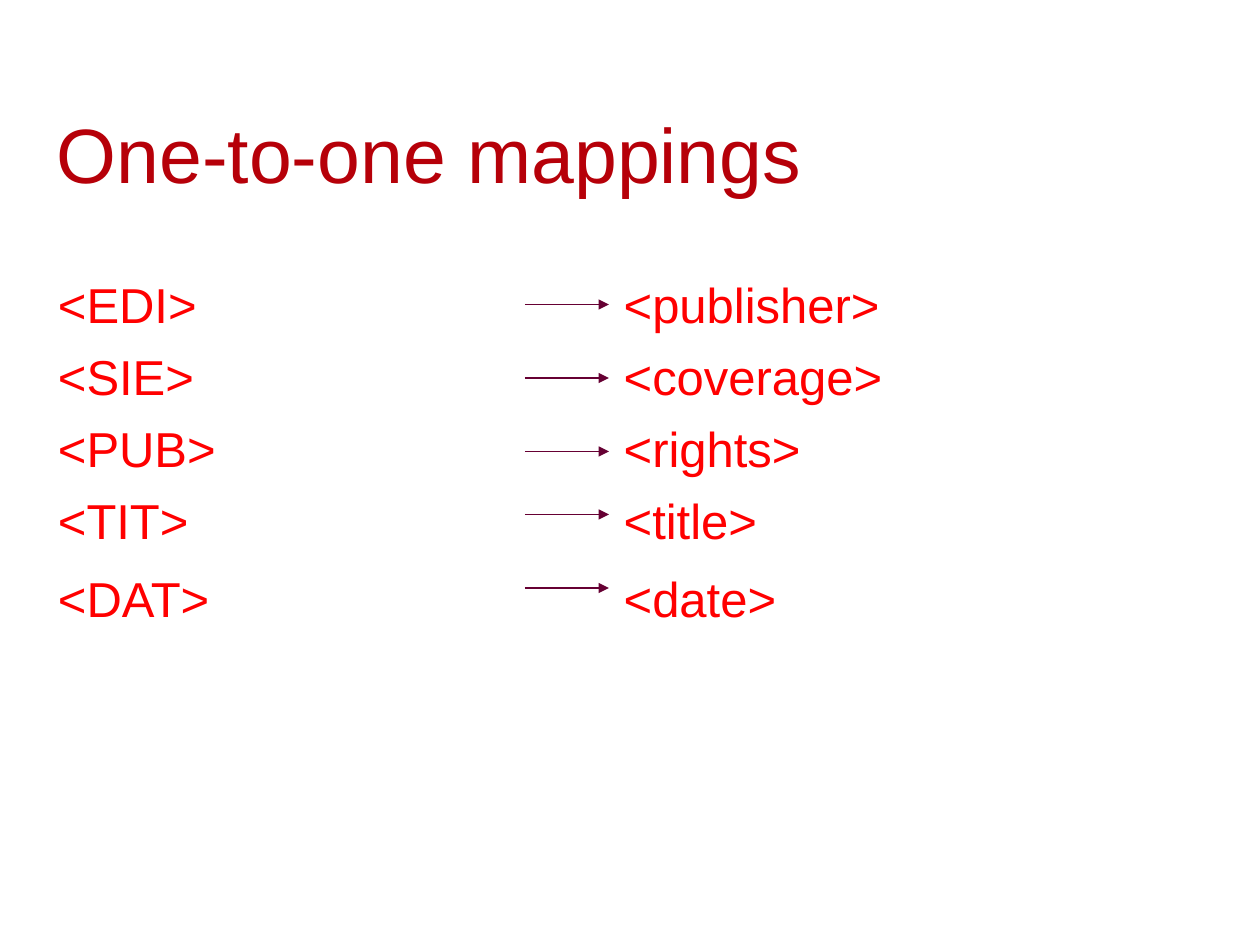
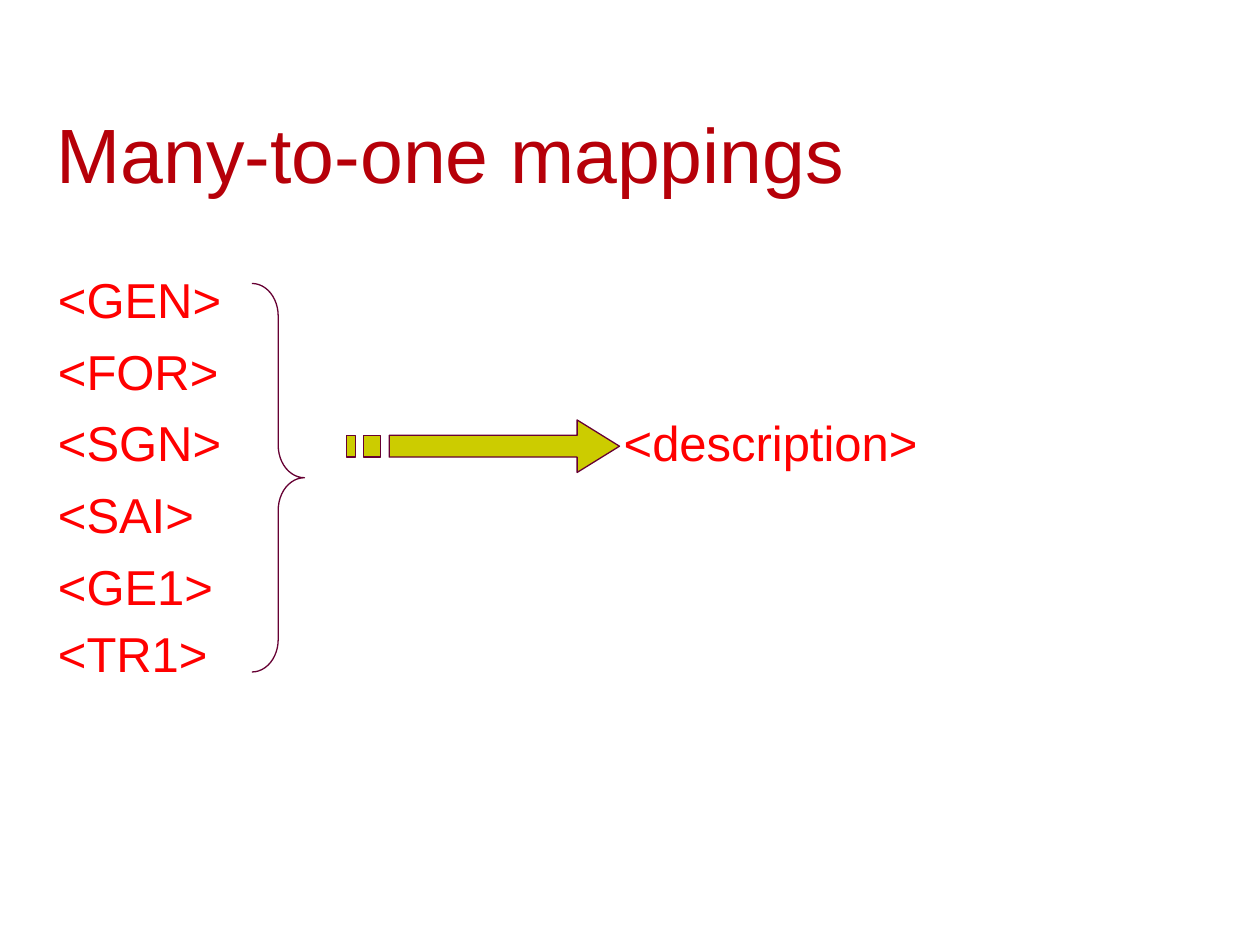
from pptx import Presentation
from pptx.dml.color import RGBColor
from pptx.enum.shapes import MSO_CONNECTOR, MSO_SHAPE
from pptx.enum.text import MSO_ANCHOR, PP_ALIGN
from pptx.oxml.ns import qn
from pptx.util import Pt
from lxml.etree import SubElement

TITLE_RED = RGBColor(0xB6, 0x00, 0x09)
TAG_RED = RGBColor(0xFF, 0x00, 0x00)
PLUM = RGBColor(0x66, 0x00, 0x33)
OLIVE = RGBColor(0xCC, 0xCC, 0x00)
FONT = "Arial"
TITLE_ONLY = 5


class MappingDeck:
    def __init__(self):
        self.deck = Presentation()
        self.deck.slide_width = Pt(720)
        self.deck.slide_height = Pt(540)
        self.page = None

    def add_page(self, title):
        self.page = self.deck.slides.add_slide(self.deck.slide_layouts[TITLE_ONLY])
        box = self.page.shapes.title
        box.left, box.top, box.width, box.height = Pt(25.2), Pt(56.9), Pt(680.4), Pt(60.5)
        box.text_frame.vertical_anchor = MSO_ANCHOR.BOTTOM
        para = box.text_frame.paragraphs[0]
        para.alignment = PP_ALIGN.LEFT
        self.add_span(para, title, 44, TITLE_RED)

    def add_span(self, para, text, size, color):
        span = para.add_run()
        span.text = text
        span.font.name = FONT
        span.font.size = Pt(size)
        span.font.color.rgb = color

    def add_tag_table(self, top, rows, heights):
        table = self.page.shapes.add_table(
            len(rows), 2, Pt(25.9), Pt(top), Pt(646.6), Pt(sum(heights))
        ).table
        table.first_row = False
        table.horz_banding = False
        for row, height, tag_groups in zip(table.rows, heights, rows):
            row.height = Pt(height)
            for cell, tags in zip(row.cells, tag_groups):
                cell.fill.background()
                self.fill_cell(cell.text_frame, tags)

    def fill_cell(self, frame, tags):
        for index, tag in enumerate(tags):
            para = frame.add_paragraph() if index else frame.paragraphs[0]
            if index:
                para.space_before = Pt(7)
            self.add_span(para, tag, 28, TAG_RED)

    def outline(self, shape):
        shape.line.color.rgb = PLUM
        shape.line.width = Pt(0.75)

    def add_arrow(self, left, right, y):
        arrow = self.page.shapes.add_connector(
            MSO_CONNECTOR.STRAIGHT, Pt(left), Pt(y), Pt(right), Pt(y)
        )
        self.outline(arrow)
        SubElement(arrow.line._get_or_add_ln(), qn("a:tailEnd"), type="triangle")
        SubElement(arrow._element.spPr, qn("a:effectLst"))

    def add_brace(self, left, top, width, height):
        brace = self.page.shapes.add_shape(
            MSO_SHAPE.RIGHT_BRACE, Pt(left), Pt(top), Pt(width), Pt(height)
        )
        brace.adjustments[0] = 0.62
        brace.shadow.inherit = False
        brace.fill.background()
        self.outline(brace)

    def add_outlines(self, contours):
        scaled = [[(Pt(x), Pt(y)) for x, y in contour] for contour in contours]
        builder = self.page.shapes.build_freeform(*scaled[0][0])
        for index, contour in enumerate(scaled):
            if index:
                builder.move_to(*contour[0])
            builder.add_line_segments(contour[1:], close=True)
        shape = builder.convert_to_shape()
        shape.shadow.inherit = False
        shape.fill.solid()
        shape.fill.fore_color.rgb = OLIVE
        self.outline(shape)

    def add_striped_arrow(self, left, right, middle):
        upper, lower = middle - 6.2, middle + 6.2
        neck, shaft = right - 24.2, left + 24.4
        head = [
            (shaft, upper), (neck, upper), (neck, middle - 15), (right, middle),
            (neck, middle + 15), (neck, lower), (shaft, lower),
        ]
        stripes = [
            [(start, upper), (end, upper), (end, lower), (start, lower)]
            for start, end in ((left, left + 5), (left + 9.8, left + 19.5))
        ]
        self.add_outlines([head, *stripes])


def main():
    mapping = MappingDeck()

    mapping.add_page("One-to-one mappings")
    pairs = [
        ("<EDI>", "<publisher>"),
        ("<SIE>", "<coverage>"),
        ("<PUB>", "<rights>"),
        ("<TIT>", "<title>"),
        ("<DAT>", "<date>"),
    ]
    rows = [([source], [target]) for source, target in pairs]
    mapping.add_tag_table(156.2, rows, [41, 41, 41, 44.8, 41])
    for y in (174, 216, 258, 294, 336):
        mapping.add_arrow(300, 348, y)

    mapping.add_page("Many-to-one mappings")
    rows = [
        (["<GEN>"], []),
        (["<FOR>"], []),
        (["<SGN>"], ["<description>"]),
        (["<SAI>"], []),
        (["<GE1>", "<TR1>"], []),
    ]
    mapping.add_tag_table(153, rows, [41, 41, 41, 41, 81.4])
    mapping.add_brace(144, 162, 30, 222)
    mapping.add_striped_arrow(198, 354, 255)

    mapping.deck.save("out.pptx")


if __name__ == "__main__":
    main()
